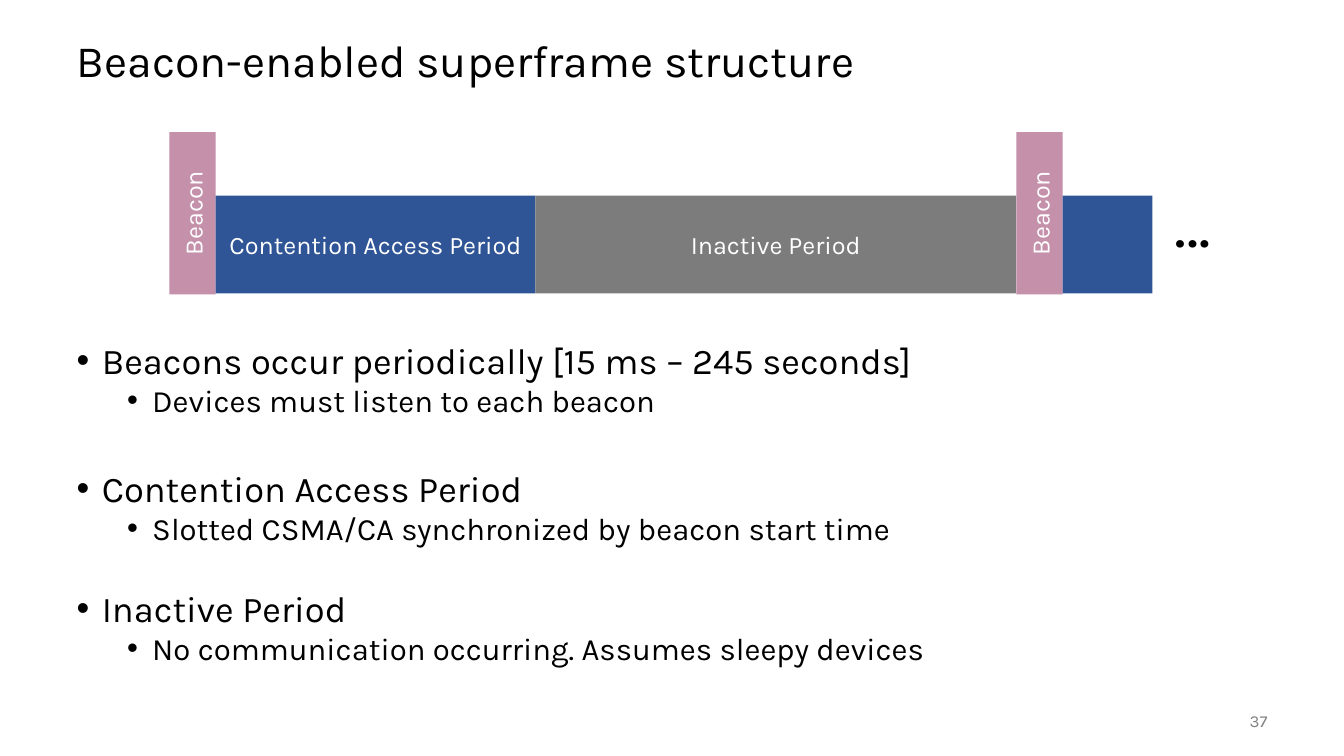
"""Build the slide on the beacon-enabled superframe structure."""
from lxml import etree
from pptx import Presentation
from pptx.dml.color import RGBColor
from pptx.enum import shapes, text
from pptx.oxml import ns
from pptx.util import Inches, Pt

BLACK = RGBColor(0x00, 0x00, 0x00)
WHITE = RGBColor(0xFF, 0xFF, 0xFF)
BLUE = RGBColor(0x2F, 0x55, 0x97)
PINK = RGBColor(0xC4, 0x90, 0xAA)
GRAY = RGBColor(0x7C, 0x7C, 0x7C)
PAGE_GRAY = RGBColor(0x80, 0x80, 0x80)
LEFT, CENTER, RIGHT = text.PP_ALIGN.LEFT, text.PP_ALIGN.CENTER, text.PP_ALIGN.RIGHT
MIDDLE, TOP = text.MSO_ANCHOR.MIDDLE, text.MSO_ANCHOR.TOP


def prepare(shape, box, anchor=MIDDLE):
    """Place a shape and set up its text frame."""
    for side, length in zip(("left", "top", "width", "height"), box):
        setattr(shape, side, Inches(length))
    frame = shape.text_frame
    settings = {"word_wrap": True, "auto_size": text.MSO_AUTO_SIZE.NONE, "vertical_anchor": anchor}
    for key, value in settings.items():
        setattr(frame, key, value)
    return frame


def write(paragraph, words, size, color, align=LEFT):
    """Write one formatted run into a paragraph."""
    paragraph.alignment = align
    run = paragraph.add_run()
    run.text = words
    for key, value in {"name": "Karla", "size": Pt(size), "bold": False}.items():
        setattr(run.font, key, value)
    run.font.color.rgb = color


deck = Presentation()
deck.slide_width, deck.slide_height = Inches(13.33), Inches(7.5)
slide = deck.slides.add_slide(deck.slide_layouts[1])
title, body = slide.placeholders

heading = prepare(title, (0.66, 0.25, 12, 0.75)).paragraphs[0]
heading.line_spacing = 0.9
write(heading, "Beacon-enabled superframe structure", 32, BLACK)

points = [
    (0, 0, "Beacons occur periodically [15 ms – 245 seconds]"),
    (1, 5, "Devices must listen to each beacon"),
    (0, 40, "Contention Access Period"),
    (1, 5, "Slotted CSMA/CA synchronized by beacon start time"),
    (0, 35, "Inactive Period"),
    (1, 5, "No communication occurring. Assumes sleepy devices"),
]
explanation = prepare(body, (0.66, 3.39, 12, 3.36), TOP)
for index, (level, gap, words) in enumerate(points):
    point = explanation.add_paragraph() if index else explanation.paragraphs[0]
    spacing = {"level": level, "line_spacing": 0.8, "space_before": Pt(gap), "space_after": Pt(0)}
    for key, value in spacing.items():
        setattr(point, key, value)
    properties = point._p.get_or_add_pPr()
    properties.set("marL", str(Inches(0.25 + 0.5 * level)))
    properties.set("indent", str(Inches(-0.25)))
    etree.SubElement(properties, ns.qn("a:buFont"), typeface="Arial")
    etree.SubElement(properties, ns.qn("a:buChar"), char="•")
    write(point, words, 22.2 if level else 25.9, BLACK)

PERIOD_TOP, PERIOD_HEIGHT = 1.94, 0.97
BEACON_TOP, BEACON_HEIGHT = 1.31, 1.61
superframe = [
    ("Beacon", 0.46, PINK),
    ("Contention Access Period", 3.17, BLUE),
    ("Inactive Period", 4.77, GRAY),
    ("Beacon", 0.46, PINK),
    ("", 0.89, BLUE),
]
start = 1.68
for label, width, color in superframe:
    is_beacon = label == "Beacon"
    top, height = (BEACON_TOP, BEACON_HEIGHT) if is_beacon else (PERIOD_TOP, PERIOD_HEIGHT)
    period = slide.shapes.add_shape(shapes.MSO_SHAPE.RECTANGLE, 0, 0, 0, 0)
    frame = prepare(period, (start, top, width, height))
    period.shadow.inherit = False
    period.fill.solid()
    period.fill.fore_color.rgb = color
    period.line.fill.background()
    if is_beacon:
        frame._txBody.bodyPr.set("vert", "vert270")
    if label:
        write(frame.paragraphs[0], label, 18, WHITE, CENTER)
    start += width

notes = [
    ((11.55, 1.73, 1.03, 0.91), "…", 48, BLACK, LEFT),
    ((11.67, 6.95, 1, 0.4), "37", 12, PAGE_GRAY, RIGHT),
]
for box, words, size, color, align in notes:
    frame = prepare(slide.shapes.add_textbox(0, 0, 0, 0), box)
    write(frame.paragraphs[0], words, size, color, align)

deck.save("out.pptx")
